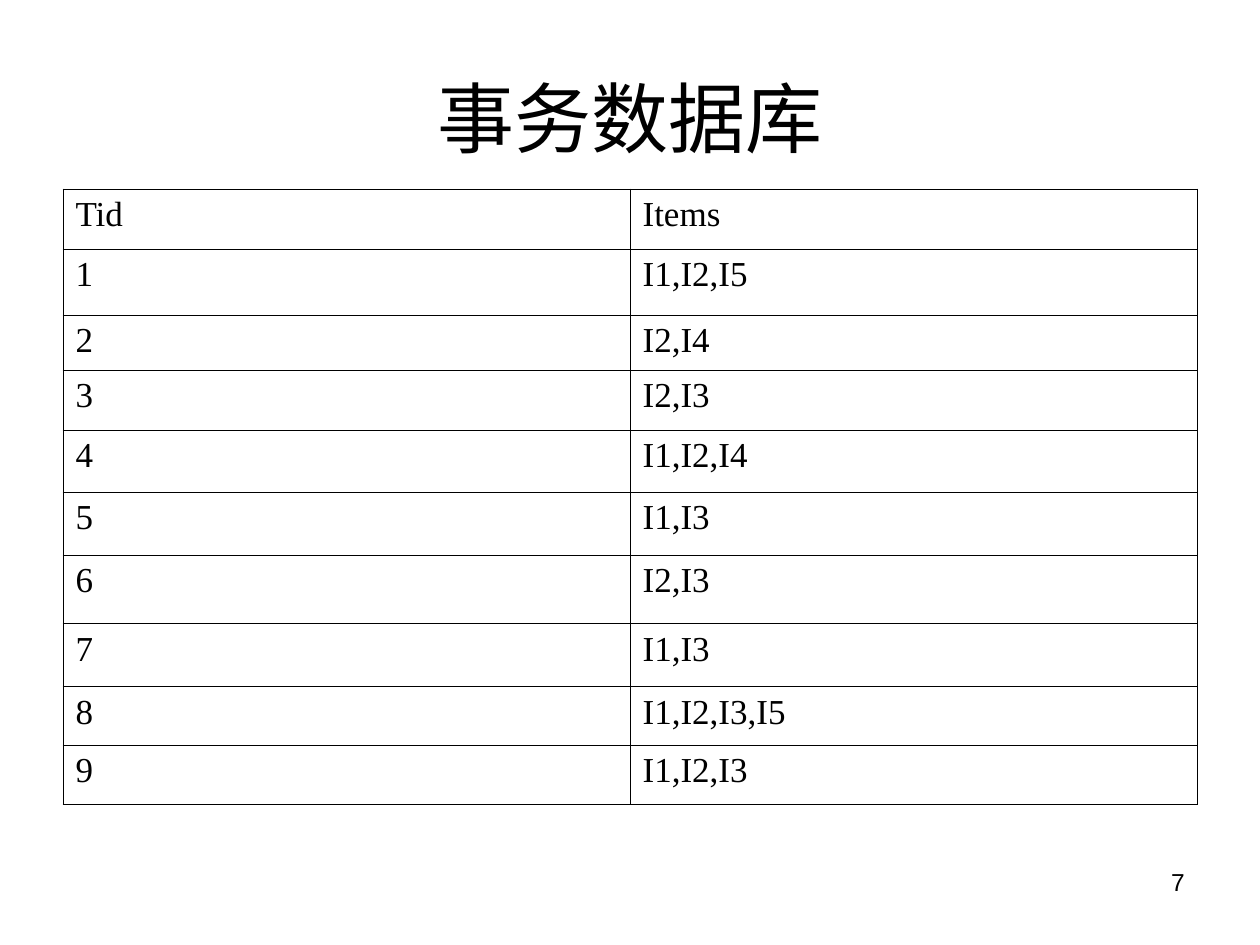
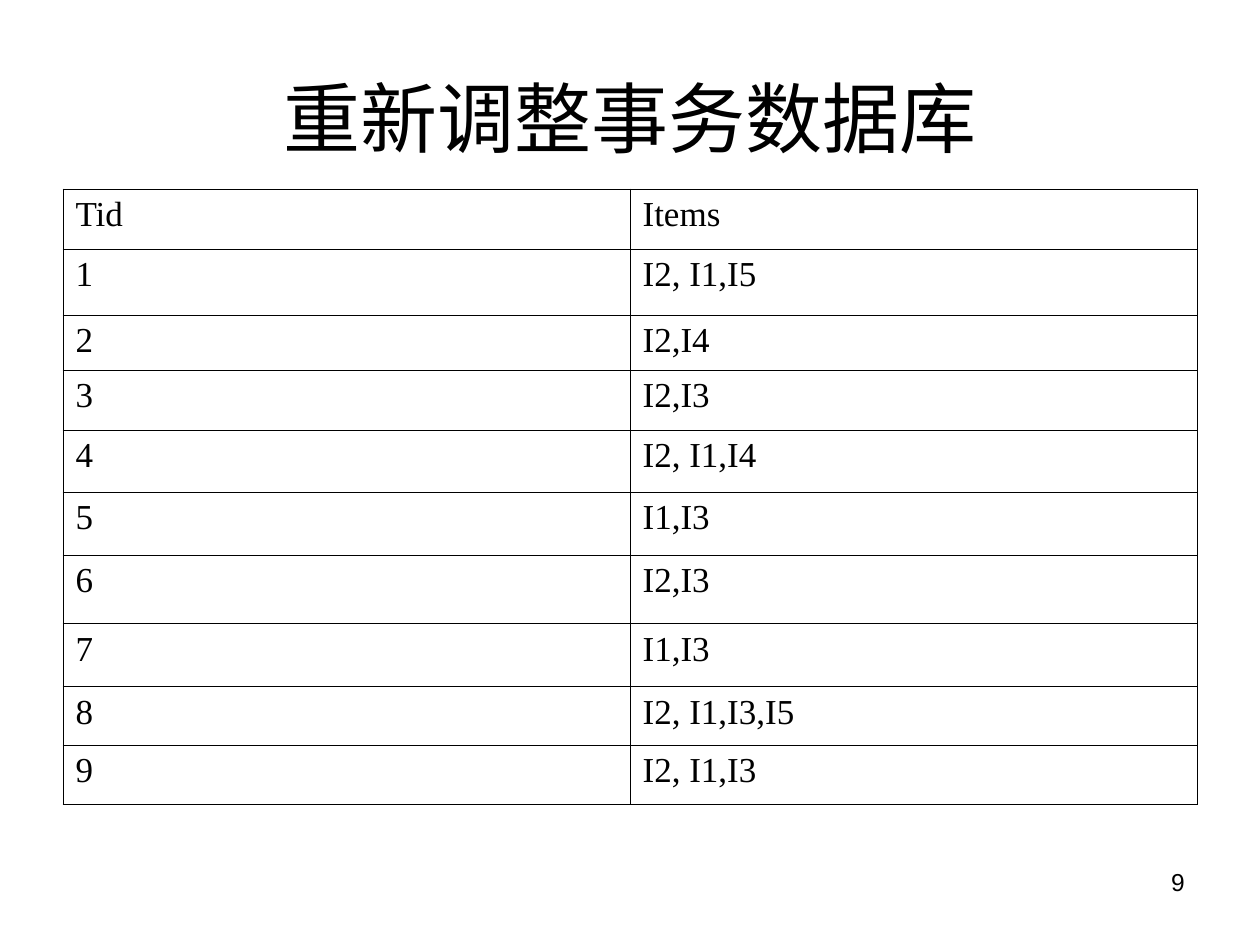
from lxml import etree
from pptx import Presentation
from pptx.dml.color import RGBColor
from pptx.enum.text import MSO_ANCHOR, PP_ALIGN
from pptx.oxml.ns import qn
from pptx.util import Pt

CENTER, RIGHT, LEFT = PP_ALIGN.CENTER, PP_ALIGN.RIGHT, PP_ALIGN.LEFT
TOP, MIDDLE = MSO_ANCHOR.TOP, MSO_ANCHOR.MIDDLE
BLACK = RGBColor(0, 0, 0)
WHITE = RGBColor(255, 255, 255)

TITLE_FONT = {"name": "Arial", "size": Pt(44)}
CELL_FONT = {"name": "Times New Roman", "size": Pt(20)}
NUMBER_FONT = {"name": "Arial", "size": Pt(14)}

TITLE_BOX = (36, 21.6, 648, 90)
TABLE_BOX = (36, 108, 648, 352)
NUMBER_BOX = (516, 492, 168, 37.5)
ROW_HEIGHTS = (34.4, 37.6, 31.6, 34.4, 35.4, 36, 39.2, 36, 33.2, 34.2)
HEADER = ("Tid", "Items")
BORDER_WIDTH = Pt(0.45)

SLIDES = [
    ("事务数据库", 7,
     ["I1,I2,I5", "I2,I4", "I2,I3", "I1,I2,I4", "I1,I3",
      "I2,I3", "I1,I3", "I1,I2,I3,I5", "I1,I2,I3"]),
    ("重新调整事务数据库", 9,
     ["I2, I1,I5", "I2,I4", "I2,I3", "I2, I1,I4", "I1,I3",
      "I2,I3", "I1,I3", "I2, I1,I3,I5", "I2, I1,I3"]),
]


def write(tf, text, font, align=LEFT):
    p = tf.paragraphs[0]
    p.alignment = align
    r = p.add_run()
    r.text = text
    for key, value in font.items():
        setattr(r.font, key, value)
    r.font.color.rgb = BLACK


def add_text(slide, box, text, font, align, anchor=TOP):
    tf = slide.shapes.add_textbox(*map(Pt, box)).text_frame
    tf.word_wrap = True
    tf.vertical_anchor = anchor
    write(tf, text, font, align)


def add_borders(cell):
    tcPr = cell._tc.get_or_add_tcPr()
    for i, side in enumerate(("lnL", "lnR", "lnT", "lnB")):
        ln = etree.Element(qn(f"a:{side}"), w=str(BORDER_WIDTH))
        fill = etree.SubElement(ln, qn("a:solidFill"))
        etree.SubElement(fill, qn("a:srgbClr"), val=str(BLACK))
        tcPr.insert(i, ln)


def add_transactions(slide, box, itemsets):
    rows = [HEADER] + [(str(tid), items) for tid, items in enumerate(itemsets, 1)]
    table = slide.shapes.add_table(len(rows), len(HEADER), *map(Pt, box)).table
    table.first_row = table.horz_banding = False
    for column in table.columns:
        column.width = Pt(box[2] / len(HEADER))
    for i, (row, height) in enumerate(zip(rows, ROW_HEIGHTS)):
        table.rows[i].height = Pt(height)
        for j, text in enumerate(row):
            cell = table.cell(i, j)
            cell.fill.background()
            add_borders(cell)
            write(cell.text_frame, text, CELL_FONT)


def add_slide(prs, title, number, itemsets):
    slide = prs.slides.add_slide(prs.slide_layouts[6])
    slide.background.fill.solid()
    slide.background.fill.fore_color.rgb = WHITE
    add_text(slide, TITLE_BOX, title, TITLE_FONT, CENTER, MIDDLE)
    add_transactions(slide, TABLE_BOX, itemsets)
    add_text(slide, NUMBER_BOX, str(number), NUMBER_FONT, RIGHT)


def main():
    prs = Presentation()
    prs.slide_width, prs.slide_height = Pt(720), Pt(540)
    for content in SLIDES:
        add_slide(prs, *content)
    prs.save("out.pptx")


if __name__ == "__main__":
    main()
